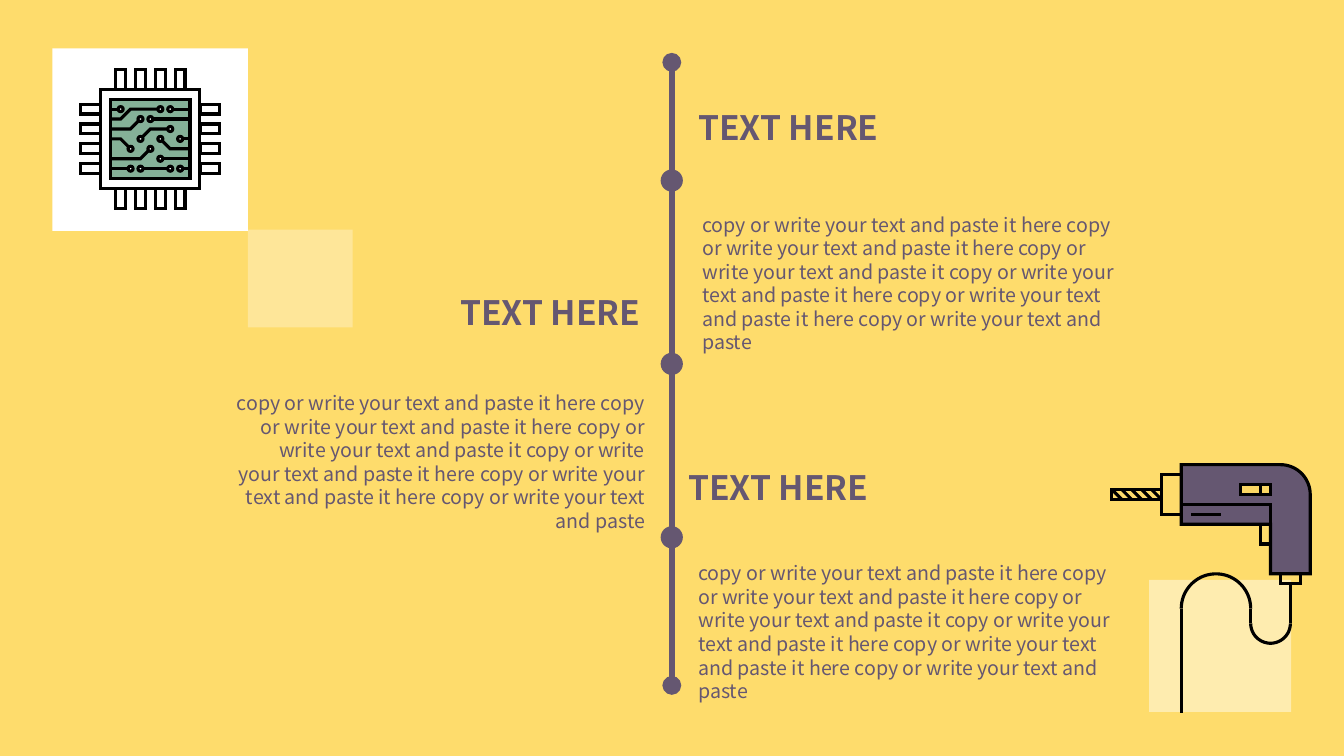
"""Build a vertical timeline slide with a microchip and a power drill drawing."""
from dataclasses import dataclass
from math import cos, radians, sin
from typing import NamedTuple

from lxml.etree import SubElement
from pptx import Presentation
from pptx.dml.color import RGBColor
from pptx.enum.shapes import MSO_CONNECTOR, MSO_SHAPE
from pptx.enum.text import MSO_AUTO_SIZE, PP_ALIGN
from pptx.oxml.ns import qn
from pptx.shapes.autoshape import Shape
from pptx.shapes.connector import Connector
from pptx.shapes.shapetree import GroupShapes, SlideShapes
from pptx.util import Cm, Pt

Point = tuple[float, float]


@dataclass(frozen=True)
class Theme:
    background: str = "FEDC6C"
    plum: str = "655771"
    white: str = "FFFFFF"
    ink: str = "000000"
    circuit: str = "85B198"
    window: str = "FBD764"
    font: str = "Noto Sans CJK SC"
    heading_size: float = 24
    body_size: float = 14
    outline: float = 2.25
    axis: float = 4.5


class Section(NamedTuple):
    heading_at: Point
    body_at: Point
    body_width: float
    align: PP_ALIGN


class Box(NamedTuple):
    left: float
    top: float
    width: float
    height: float


THEME = Theme()
UNIT = 0.25
HEADING = "TEXT HERE"
BODY = (
    "copy or write your text and paste it here copy or write your text and paste it here "
    "copy or write your text and paste it copy or write your text and paste it here "
    "copy or write your text and paste it here copy or write your text and paste"
)
SECTIONS = [
    Section((17.35, 2.57), (17.45, 5.23), 11.2, PP_ALIGN.LEFT),
    Section((11.35, 7.24), (5.66, 9.73), 10.85, PP_ALIGN.RIGHT),
    Section((17.09, 11.63), (17.35, 14.02), 11.2, PP_ALIGN.LEFT),
]
AXIS_X, AXIS_TOP, AXIS_BOTTOM = 16.93, 1.57, 17.27
NODE_CENTRES, NODE_SIZE = (4.55, 9.17, 13.54), 0.56
CORE_SIDE = 8
TRACES: list[list[Point]] = [
    [(0, 4), (1, 4), (2, 5)],
    [(3, 4), (4, 3), (6, 3)],
    [(5, 4), (6, 5), (8, 5)],
    [(3, 2), (2, 3), (0, 3)],
    [(4, 2), (8, 2)],
    [(7, 4), (8, 4)],
    [(0, 2), (1, 2), (2, 1), (5, 1)],
    [(6, 1), (8, 1)],
    [(0, 6), (3, 6), (4, 5)],
    [(5, 6), (8, 6)],
    [(8, 7), (7, 7)],
    [(6, 7), (3, 7)],
    [(2, 7), (0, 7)],
    [(0, 1), (1, 1)],
]


def set_outline(shape: Shape | Connector, color: str, width: float) -> None:
    shape.line.color.rgb = RGBColor.from_string(color)
    shape.line.width = Pt(width)
    SubElement(shape.get_or_add_ln(), qn("a:miter"), lim="800000")


def add_line(shapes: SlideShapes | GroupShapes, start: Point, end: Point,
             color: str, width: float) -> Connector:
    line = shapes.add_connector(
        MSO_CONNECTOR.STRAIGHT, *(Cm(value) for value in (*start, *end)))
    set_outline(line, color, width)
    SubElement(line.element.spPr, qn("a:effectLst"))
    return line


def add_solid(shapes: SlideShapes | GroupShapes, kind: MSO_SHAPE, box: Box,
              fill: str | None, opacity: int = 100) -> Shape:
    solid = shapes.add_shape(kind, *(Cm(value) for value in box))
    solid.shadow.inherit = False
    solid.line.fill.background()
    set_fill(solid, fill)
    if opacity < 100:
        color = solid.element.spPr.find(f".//{qn('a:srgbClr')}")
        SubElement(color, qn("a:alpha"), val=str(opacity * 1000))
    return solid


def set_fill(shape: Shape, fill: str | None) -> None:
    if fill is None:
        shape.fill.background()
    else:
        shape.fill.solid()
        shape.fill.fore_color.rgb = RGBColor.from_string(fill)


def add_text(shapes: SlideShapes, box: Box, text: str, size: float,
             bold: bool, wrap: bool, align: PP_ALIGN) -> None:
    frame = shapes.add_textbox(*(Cm(value) for value in box)).text_frame
    frame.word_wrap = wrap
    frame.auto_size = MSO_AUTO_SIZE.SHAPE_TO_FIT_TEXT
    paragraph = frame.paragraphs[0]
    paragraph.alignment = align
    run = paragraph.add_run()
    run.text = text
    run.font.name = THEME.font
    run.font.size = Pt(size)
    run.font.bold = bold
    run.font.color.rgb = RGBColor.from_string(THEME.plum)


def arc(centre: Point, radius: float, start: int, end: int) -> list[Point]:
    step = 5 if end > start else -5
    return [(centre[0] + radius * cos(radians(angle)), centre[1] + radius * sin(radians(angle)))
            for angle in range(start, end + step, step)]


@dataclass
class Sketch:
    """Drawing on a grid of equal units, measured from its own origin."""

    shapes: GroupShapes
    left: float
    top: float

    def place(self, point: Point) -> Point:
        return self.left + point[0] * UNIT, self.top + point[1] * UNIT

    def block(self, box: Box, fill: str | None = None,
              kind: MSO_SHAPE = MSO_SHAPE.RECTANGLE) -> Shape:
        placed = Box(*self.place(box[:2]), box.width * UNIT, box.height * UNIT)
        solid = add_solid(self.shapes, kind, placed, fill)
        set_outline(solid, THEME.ink, THEME.outline)
        return solid

    def stroke(self, start: Point, end: Point) -> Connector:
        return add_line(self.shapes, self.place(start), self.place(end),
                        THEME.ink, THEME.outline)

    def trace_through(self, points: list[Point], fill: str | None = None) -> None:
        first, *rest = [tuple(Cm(value) for value in self.place(point)) for point in points]
        builder = self.shapes.build_freeform(*first)
        builder.add_line_segments(rest, close=fill is not None)
        outline = builder.convert_to_shape()
        outline.shadow.inherit = False
        set_fill(outline, fill)
        set_outline(outline, THEME.ink, THEME.outline)


def draw_timeline(shapes: SlideShapes) -> None:
    axis = add_line(shapes, (AXIS_X, AXIS_TOP), (AXIS_X, AXIS_BOTTOM), THEME.plum, THEME.axis)
    for end in ("a:headEnd", "a:tailEnd"):
        SubElement(axis.get_or_add_ln(), qn(end), type="oval")
    for section in SECTIONS:
        add_text(shapes, Box(*section.heading_at, 5.23, 1.27), HEADING,
                 THEME.heading_size, True, False, PP_ALIGN.LEFT)
        add_text(shapes, Box(*section.body_at, section.body_width, 3.25), BODY,
                 THEME.body_size, False, True, section.align)
    for centre in NODE_CENTRES:
        node = Box(AXIS_X - NODE_SIZE / 2, centre - NODE_SIZE / 2, NODE_SIZE, NODE_SIZE)
        add_solid(shapes, MSO_SHAPE.OVAL, node, THEME.plum)


def draw_drill(shapes: GroupShapes) -> None:
    add_solid(shapes, MSO_SHAPE.RECTANGLE, Box(28.96, 14.61, 3.58, 3.33), THEME.white, 46)
    drill = Sketch(shapes, 29.77, 11.71)
    chuck, trigger, bit = Box(-2, 1, 4, 4), Box(8, 6, 2, 2), Box(-7, 2.5, 5, 1)
    for piece in (chuck, trigger, bit):
        drill.block(piece)
    plug = drill.block(Box(10, 11, 2, 1))
    drill.stroke((11, 12), (11, 16)).begin_connect(plug, 2)
    drill.trace_through(arc((9, 16), 2, 0, 180))
    for groove in range(-7, -2):
        drill.stroke((groove, 2.5), (groove + 1, 3.5))
    drill.trace_through([(10, 0), (0, 0), (0, 6), (9, 6), (9, 11), (13, 11),
                         *arc((10, 3), 3, 0, -90)], THEME.plum)
    drill.trace_through([(9, 6), (9, 4), (0, 4)])
    drill.stroke((1, 5), (4, 5))
    drill.block(Box(6, 2, 3, 1), THEME.window)
    drill.stroke((8, 2), (8, 3))
    drill.trace_through(arc((3.5, 14.5), 3.5, 180, 360))
    drill.stroke((7, 14.5), (7, 16))
    drill.stroke((0, 14.5), (0, 25))


def draw_chip(shapes: GroupShapes) -> None:
    add_solid(shapes, MSO_SHAPE.RECTANGLE, Box(1.32, 1.22, 4.93, 4.6), THEME.white)
    chip = Sketch(shapes, 2.79, 2.5)
    chip.block(Box(-1, -1, CORE_SIDE + 2, CORE_SIDE + 2), THEME.white)
    core = chip.block(Box(0, 0, CORE_SIDE, CORE_SIDE), THEME.circuit)
    for trace in TRACES:
        if len(trace) > 2:
            chip.trace_through(trace)
            continue
        stroke = chip.stroke(*trace)
        if trace[-1] == (CORE_SIDE, CORE_SIDE / 2):
            stroke.end_connect(core, 3)
    for x, y in (end for trace in TRACES for end in (trace[0], trace[-1])):
        if 0 < x < CORE_SIDE:
            chip.block(Box(x - 0.25, y - 0.25, 0.5, 0.5), THEME.white, MSO_SHAPE.OVAL)
    for side in (-3, CORE_SIDE + 1):
        for offset in (0.5, 2.5, 4.5, 6.5):
            chip.block(Box(side, offset, 2, 1), THEME.white)
            chip.block(Box(offset, side, 1, 2), THEME.white)


def main() -> None:
    deck = Presentation()
    deck.slide_width, deck.slide_height = Cm(33.87), Cm(19.05)
    slide = deck.slides.add_slide(deck.slide_layouts[6])
    slide.background.fill.solid()
    slide.background.fill.fore_color.rgb = RGBColor.from_string(THEME.background)
    draw_timeline(slide.shapes)
    add_solid(slide.shapes, MSO_SHAPE.RECTANGLE, Box(6.25, 5.79, 2.64, 2.46), THEME.white, 31)
    draw_drill(slide.shapes.add_group_shape().shapes)
    draw_chip(slide.shapes.add_group_shape().shapes)
    deck.save("out.pptx")


if __name__ == "__main__":
    main()
